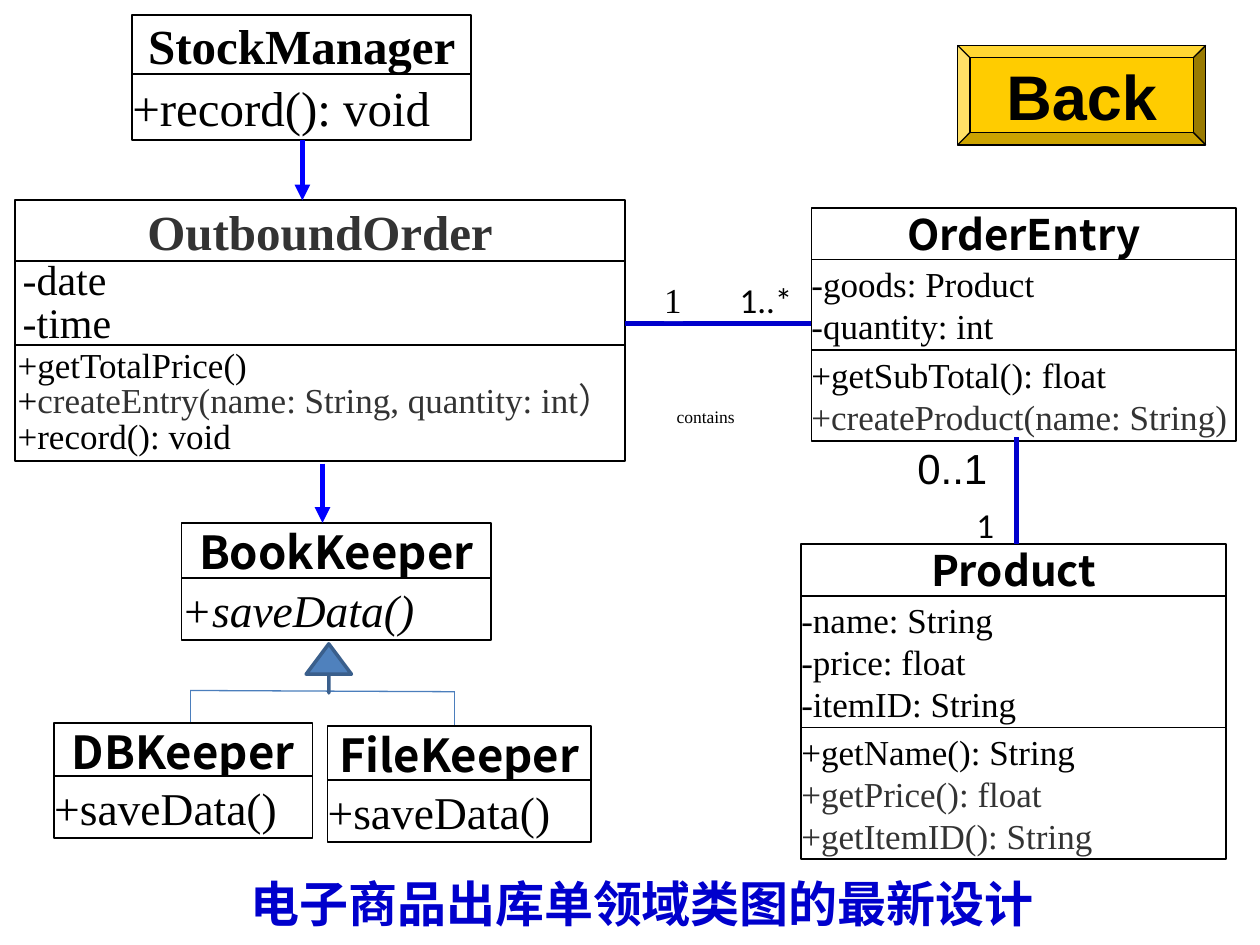
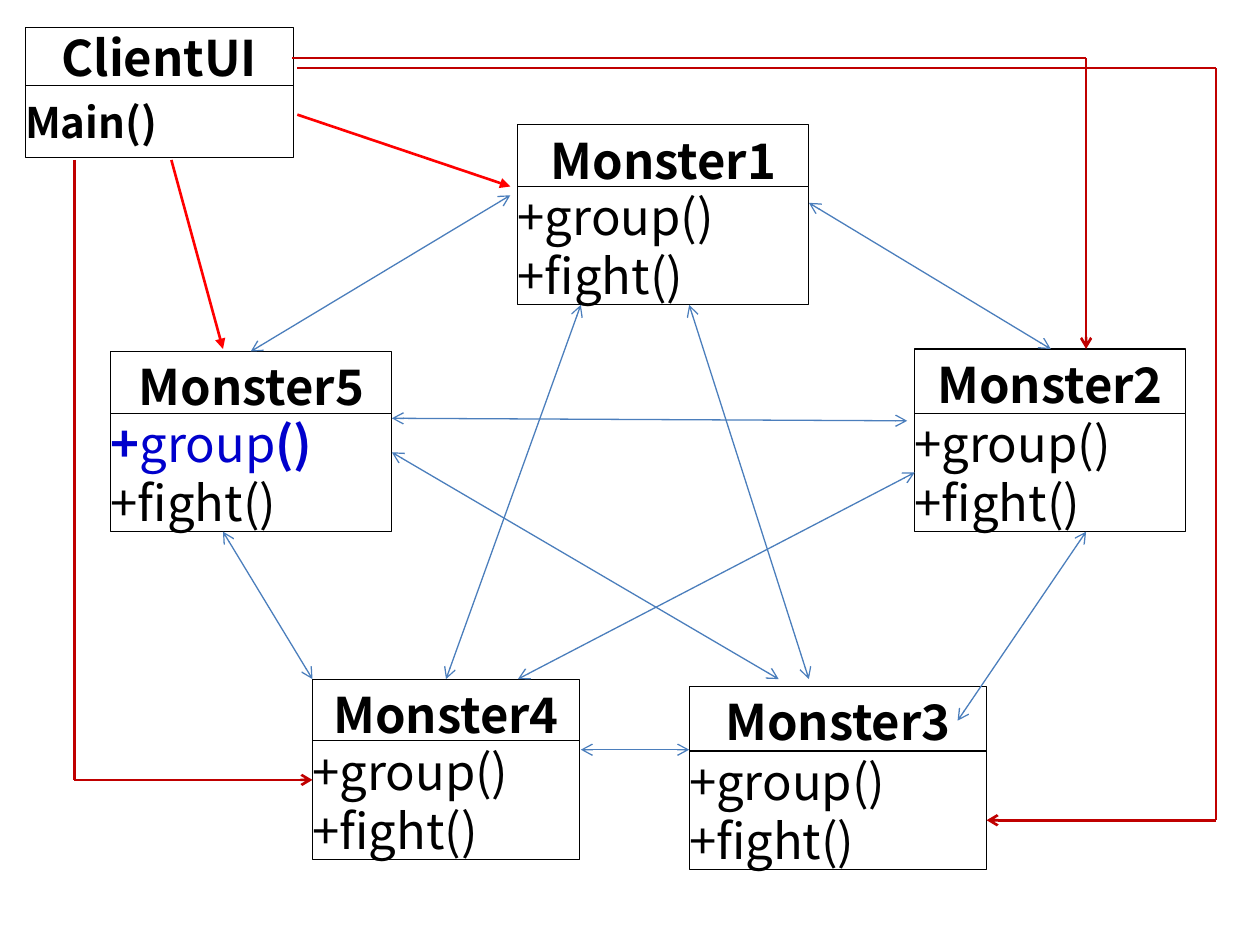
from dataclasses import dataclass
from itertools import pairwise

from lxml import etree
from pptx import Presentation
from pptx.dml.color import RGBColor
from pptx.enum.shapes import MSO_CONNECTOR, MSO_SHAPE
from pptx.enum.text import MSO_ANCHOR, PP_ALIGN
from pptx.oxml.ns import qn
from pptx.util import Inches, Pt

SLIDE_W, SLIDE_H = Inches(10), Inches(7.5)
COLUMNS, ROWS = 100, 75
RECT, BEVEL, UP_ARROW = MSO_SHAPE.RECTANGLE, MSO_SHAPE.BEVEL, MSO_SHAPE.UP_ARROW
STRAIGHT = MSO_CONNECTOR.STRAIGHT
TOP, MIDDLE = MSO_ANCHOR.TOP, MSO_ANCHOR.MIDDLE
LEFT, CENTER, JUSTIFY = PP_ALIGN.LEFT, PP_ALIGN.CENTER, PP_ALIGN.JUSTIFY
SANS, SERIF, ARIAL, CALIBRI = "Noto Sans CJK SC", "Times New Roman", "Arial", "Calibri"
BLACK, WHITE, GREY, NAVY = "000000", "FFFFFF", "333333", "0000CC"
GOLD, STEEL, STEEL_DARK = "FFCC00", "4F81BD", "3A5F8C"


@dataclass(frozen=True)
class Run:
    text: str
    color: str = BLACK
    bold: bool = False


Line = str | tuple[Run, ...]


@dataclass(frozen=True)
class Section:
    drop: float
    height: float
    lines: tuple[Line, ...]
    size: float
    font: str = SERIF
    color: str = BLACK
    bold: bool = False
    italic: bool = False
    align: PP_ALIGN = JUSTIFY
    spacing: float | None = None
    inset: tuple[float, float] = (0, 0.2)


@dataclass(frozen=True)
class Card:
    x: float
    y: float
    w: float
    sections: tuple[Section, ...]


@dataclass(frozen=True)
class Label:
    x: float
    y: float
    w: float
    h: float
    text: str
    size: float
    font: str


@dataclass(frozen=True)
class LinkStyle:
    color: str
    width: float
    head: str = ""
    tail: str = ""


@dataclass(frozen=True)
class Link:
    style: LinkStyle
    points: tuple[tuple[float, float], ...]


CALL = LinkStyle("0000FF", 3, tail="triangle")
ASSOCIATION = LinkStyle(NAVY, 3)
TREE = LinkStyle("4B7EBC", 0.75)
MUTUAL = LinkStyle("4B7EBC", 0.75, "arrow", "arrow")
DIRECT = LinkStyle("FF0000", 1.5, tail="triangle")
ROUTED = LinkStyle("C00000", 1.5, tail="arrow")


def rgb(color: str) -> RGBColor:
    return RGBColor.from_string(color)


def col(n: float) -> int:
    return round(SLIDE_W * n / COLUMNS)


def row(n: float) -> int:
    return round(SLIDE_H * n / ROWS)


def place(x: float, y: float, w: float, h: float) -> tuple[int, int, int, int]:
    return col(x), row(y), col(w), row(h)


def add_text(tf, lines: tuple[Line, ...], *, size: float, font: str = SERIF,
             color: str = BLACK, bold: bool = False, italic: bool = False,
             align: PP_ALIGN = LEFT, spacing: float | None = None,
             anchor: MSO_ANCHOR = MIDDLE, wrap: bool = True,
             inset: tuple[float, float] = (1, 0.5)) -> None:
    tf.word_wrap = wrap
    tf.vertical_anchor = anchor
    tf.margin_left = tf.margin_right = col(inset[0])
    tf.margin_top = tf.margin_bottom = row(inset[1])
    for i, line in enumerate(lines):
        p = tf.add_paragraph() if i else tf.paragraphs[0]
        p.alignment = align
        if spacing:
            p.line_spacing = spacing
        runs = (Run(line, color, bold),) if isinstance(line, str) else line
        for run in runs:
            r = p.add_run()
            r.text = run.text
            r.font.name = font
            r.font.size = Pt(size)
            r.font.bold = run.bold
            r.font.italic = italic
            r.font.color.rgb = rgb(run.color)
            etree.SubElement(r.font._element, qn("a:ea"), typeface=SANS)


def add_box(slide, box: tuple[int, int, int, int], *, shape: MSO_SHAPE = RECT,
            fill: str = WHITE, line: str = BLACK, width: float = 0):
    sp = slide.shapes.add_shape(shape, *box)
    sp.shadow.inherit = False
    sp.fill.solid()
    sp.fill.fore_color.rgb = rgb(fill)
    if width:
        sp.line.color.rgb = rgb(line)
        sp.line.width = Pt(width)
    else:
        sp.line.fill.background()
    return sp


def draw_card(slide, card: Card, width: float) -> None:
    for s in card.sections:
        sp = add_box(slide, place(card.x, card.y + s.drop, card.w, s.height), width=width)
        add_text(sp.text_frame, s.lines, size=s.size, font=s.font, color=s.color,
                 bold=s.bold, italic=s.italic, align=s.align, spacing=s.spacing,
                 inset=s.inset)


def draw_label(slide, label: Label) -> None:
    sp = add_box(slide, place(label.x, label.y, label.w, label.h))
    add_text(sp.text_frame, (label.text,), size=label.size, font=label.font,
             anchor=TOP, inset=(0, 0))


def draw_link(slide, link: Link) -> None:
    segments = list(pairwise(link.points))
    for i, ((x1, y1), (x2, y2)) in enumerate(segments):
        cxn = slide.shapes.add_connector(STRAIGHT, col(x1), row(y1), col(x2), row(y2))
        cxn.line.color.rgb = rgb(link.style.color)
        cxn.line.width = Pt(link.style.width)
        ln = cxn.line._get_or_add_ln()
        if link.style.head and i == 0:
            etree.SubElement(ln, qn("a:headEnd"), type=link.style.head)
        if link.style.tail and i == len(segments) - 1:
            etree.SubElement(ln, qn("a:tailEnd"), type=link.style.tail)
        etree.SubElement(ln.getparent(), qn("a:effectLst"))


def title(name: str, height: float, size: float, font: str = SANS,
          color: str = BLACK, pad: float = 0) -> Section:
    return Section(0, height, (name,), size, font, color, bold=True, align=CENTER,
                   inset=(0, pad))


def keeper(name: str, x: float, y: float, w: float, drop: float,
           italic: bool = False) -> Card:
    return Card(x, y, w, (
        title(name, 4.5, 26),
        Section(drop, 4.9, ("+saveData()",), 26, italic=italic, align=LEFT)))


def entity(name: str, x: float, y: float, fields: tuple[Line, ...],
           methods: tuple[Line, ...], height: float) -> Card:
    return Card(x, y, 33.7, (
        title(name, 4.1, 24),
        Section(4.1, height, fields, 20),
        Section(4.1 + height, height, methods, 20)))


def monster(number: int, x: float, y: float, w: float, drop: float = 4.9,
            group: Line = "+group()") -> Card:
    return Card(x, y, w, (
        title(f"Monster{number}", 5.5, 28, pad=0.4),
        Section(drop, 9.4, (group, "+fight()"), 28, SANS, inset=(0, 0))))


def grey(text: str) -> tuple[Run, ...]:
    return (Run(text, GREY),)


ORDER_CARDS = (
    keeper("BookKeeper", 14.4, 41.5, 24.6, 4.4, italic=True),
    keeper("DBKeeper", 4.3, 57.4, 20.5, 4.2),
    keeper("FileKeeper", 26, 57.6, 20.9, 4.3),
    Card(1.2, 15.9, 48.4, (
        title("OutboundOrder", 4.8, 28, SERIF, GREY),
        Section(4.8, 6.9, ("-date", "-time"), 24, spacing=0.85, inset=(0.6, 0)),
        Section(11.5, 9.2, (
            "+getTotalPrice()",
            (Run("+"), Run("createEntry(name: String, quantity: int）", GREY)),
            "+record(): void"), 20, spacing=0.85, inset=(0.2, 0.3)))),
    Card(10.5, 1.2, 26.9, (
        title("StockManager", 4.8, 28, SERIF),
        Section(4.7, 5.2, ("+record(): void",), 28))),
    entity("OrderEntry", 64.4, 16.5, ("-goods: Product", "-quantity: int"),
           ("+getSubTotal(): float", grey("+createProduct(name: String)")), 7.2),
    entity("Product", 63.6, 43.2, ("-name: String", "-price: float", "-itemID: String"),
           ("+getName(): String", grey("+getPrice(): float"),
            grey("+getItemID(): String")), 10.45),
)
KEEPER_TREE = Link(TREE, ((15.1, 60.3), (15.1, 54.8), (36.1, 54.9), (36.1, 60.3)))
ORDER_LINKS = (
    Link(CALL, ((25.6, 36.8), (25.6, 41.5))),
    Link(CALL, ((24, 11.1), (24, 15.9))),
    Link(ASSOCIATION, ((49.6, 25.7), (64.4, 25.7))),
    Link(ASSOCIATION, ((80.7, 34.7), (80.7, 43.2))),
)
ORDER_LABELS = (
    Label(58.7, 22.1, 4.7, 2.5, "1..*", 20, CALIBRI),
    Label(53.7, 32.2, 5.5, 1.7, "contains", 10, SERIF),
    Label(52.7, 22.1, 1.5, 3.4, "1", 20, SERIF),
    Label(77.5, 40, 2.3, 2.6, "1", 20, CALIBRI),
    Label(72.8, 35.1, 5.9, 4, "0..1", 24, ARIAL),
)
MONSTER_CARDS = (
    Card(2, 2.2, 21.3, (
        title("ClientUI", 4.7, 28),
        Section(4.6, 5.7, ("Main()",), 24, SANS, bold=True, inset=(0, 0)))),
    monster(5, 8.8, 27.9, 22.3, group=(
        Run("+", NAVY, True), Run("group", NAVY), Run("()", NAVY, True))),
    monster(1, 41.1, 9.9, 23.1),
    monster(4, 24.8, 53.9, 21.2),
    monster(3, 54.7, 54.5, 23.6, 5.1),
    monster(2, 72.6, 27.7, 21.5, 5.1),
)
MUTUAL_ENDS = (
    ((40.5, 15.5), (19.9, 27.9)),
    ((17.7, 42.2), (24.8, 53.9)),
    ((86.2, 42.2), (76, 57.2)),
    ((46.1, 59.5), (54.7, 59.5)),
    ((64.2, 16.1), (83.4, 27.7)),
    ((46.1, 24.2), (35.4, 53.9)),
    ((54.7, 24.2), (64.2, 53.9)),
    ((31.1, 33.2), (72, 33.4)),
    ((31.1, 35.9), (61.8, 53.9)),
    ((72.6, 37.5), (41.1, 53.9)),
)
MONSTER_LINKS = (
    *(Link(MUTUAL, ends) for ends in MUTUAL_ENDS),
    Link(DIRECT, ((23.6, 9.1), (40.5, 14.8))),
    Link(DIRECT, ((13.6, 12.7), (17.7, 27.7))),
    Link(ROUTED, ((5.9, 12.7), (5.9, 61.9), (24.8, 61.9))),
    Link(ROUTED, ((23.2, 4.6), (86.2, 4.6), (86.2, 27.7))),
    Link(ROUTED, ((23.6, 5.4), (96.5, 5.4), (96.5, 65.1), (78.3, 65.1))),
)


def draw_diagram(slide, cards: tuple[Card, ...], links: tuple[Link, ...],
                 width: float) -> None:
    for card in cards:
        draw_card(slide, card, width)
    for link in links:
        draw_link(slide, link)


def build_order_slide(slide) -> None:
    draw_link(slide, KEEPER_TREE)
    draw_diagram(slide, ORDER_CARDS, ORDER_LINKS, 1)
    sp = add_box(slide, place(24.3, 51.1, 3.6, 3.9), shape=UP_ARROW, fill=STEEL,
                 line=STEEL_DARK, width=2)
    sp.adjustments[0], sp.adjustments[1] = 0, 0.67
    for label in ORDER_LABELS:
        draw_label(slide, label)
    caption = slide.shapes.add_textbox(*place(18.9, 68.8, 66.5, 5.7))
    add_text(caption.text_frame, ("电子商品出库单领域类图的最新设计",), size=28,
             font=SANS, color=NAVY, bold=True)
    back = add_box(slide, place(76, 3.6, 19.7, 7.9), shape=BEVEL, fill=GOLD, width=0.75)
    add_text(back.text_frame, ("Back",), size=36, font=ARIAL, bold=True, align=CENTER,
             wrap=False)


def main() -> None:
    prs = Presentation()
    prs.slide_width, prs.slide_height = SLIDE_W, SLIDE_H
    blank = prs.slide_layouts[6]
    build_order_slide(prs.slides.add_slide(blank))
    draw_diagram(prs.slides.add_slide(blank), MONSTER_CARDS, MONSTER_LINKS, 0.75)
    prs.save("out.pptx")


if __name__ == "__main__":
    main()
